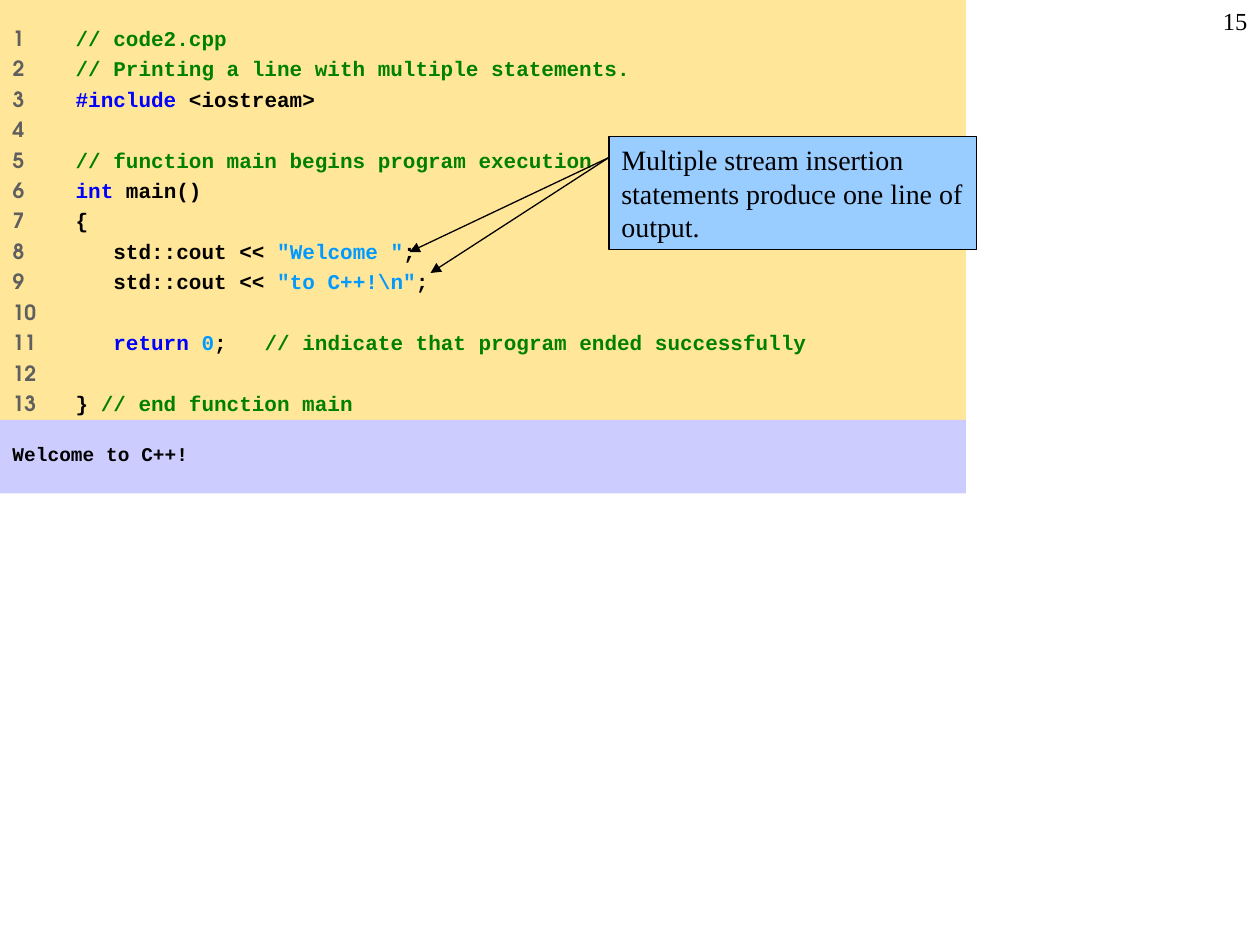
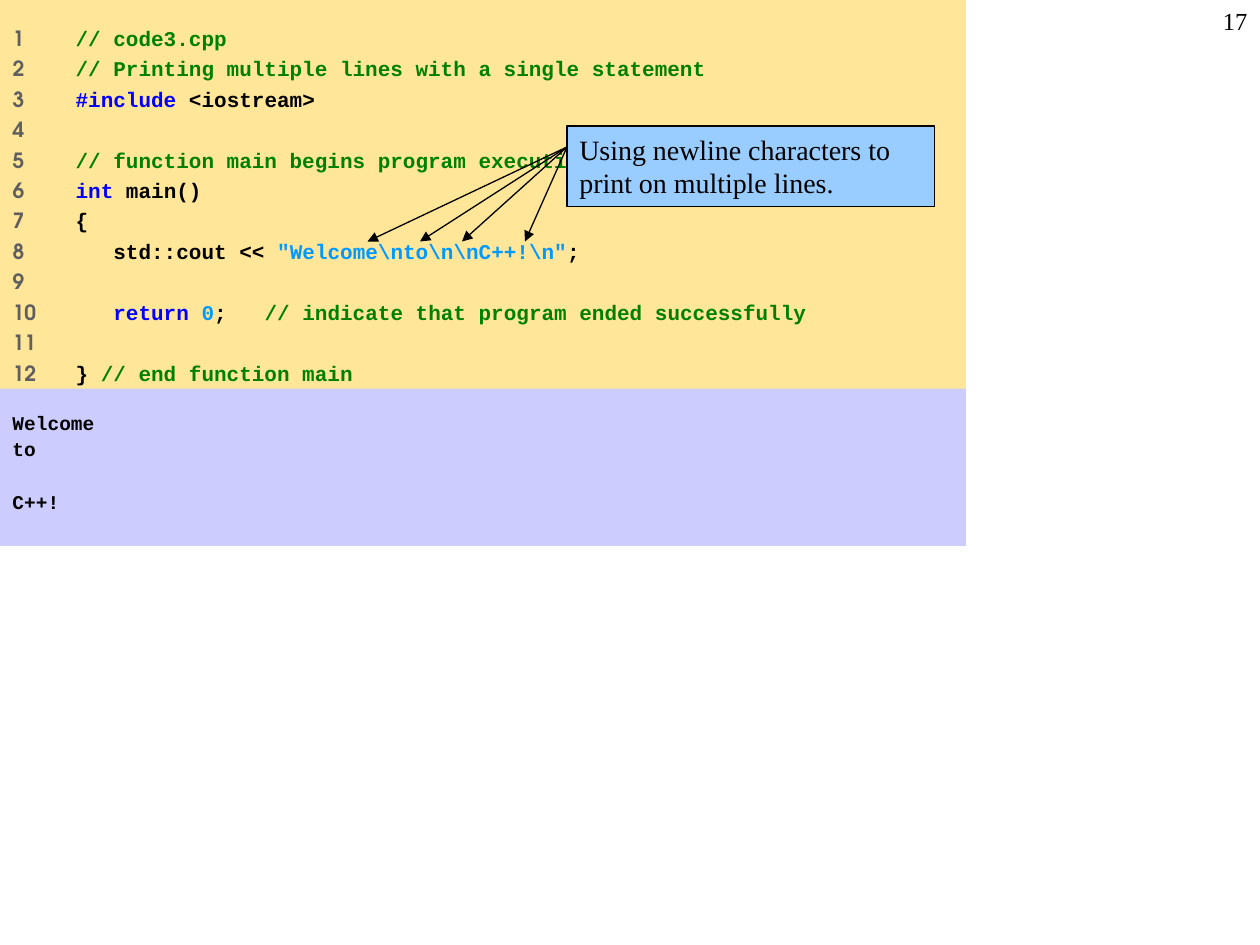
from dataclasses import dataclass
from typing import NamedTuple

from lxml import etree
from pptx import Presentation
from pptx.dml.color import RGBColor
from pptx.enum.shapes import MSO_CONNECTOR, MSO_SHAPE
from pptx.enum.text import MSO_ANCHOR, MSO_AUTO_SIZE, PP_ALIGN
from pptx.oxml.ns import qn
from pptx.util import Emu, Inches, Pt

RECTANGLE = MSO_SHAPE.RECTANGLE
STRAIGHT = MSO_CONNECTOR.STRAIGHT
TOP = MSO_ANCHOR.TOP
LEFT, RIGHT = PP_ALIGN.LEFT, PP_ALIGN.RIGHT
FIXED_SIZE, GROW = MSO_AUTO_SIZE.NONE, MSO_AUTO_SIZE.SHAPE_TO_FIT_TEXT

# Square grid: 120 columns by 90 rows
COLUMNS, ROWS = 120, 90
CELL = Inches(10) // COLUMNS
PANEL_COLUMNS = 92
CALLOUT_COLUMNS = 35
ARROW_DROP = 2  # rows from the callout's top to the arrows' start


class TextStyle(NamedTuple):
    font: str
    size: float
    color: str
    bold: bool = False


@dataclass(frozen=True)
class Theme:
    code_fill: str = "FFE699"
    output_fill: str = "CCCCFF"
    callout_fill: str = "99CCFF"
    line: str = "000000"
    line_width: float = 0.75
    paragraph_gap: float = 3
    output_spacing: float = 0.9
    code_tab: float = 0.37
    side_inset: float = 0.1
    panel_inset: float = 0.2
    text_inset: float = 0.05
    number: TextStyle = TextStyle("TeX Gyre Adventor", 12, "5F5F5F", True)
    plain: TextStyle = TextStyle("Courier New", 12, "000000", True)
    comment: TextStyle = TextStyle("Courier New", 12, "008000", True)
    keyword: TextStyle = TextStyle("Courier New", 12, "0000FF", True)
    literal: TextStyle = TextStyle("Courier New", 12, "0099FF", True)
    output: TextStyle = TextStyle("Courier New", 11.1, "000000", True)
    callout: TextStyle = TextStyle("Times New Roman", 16, "000000")
    page: TextStyle = TextStyle("Times New Roman", 14, "000000")


THEME = Theme()


class Token(NamedTuple):
    text: str
    style: TextStyle = THEME.plain


class Box(NamedTuple):
    column: float
    row: float
    columns: float
    rows: float


class OutputLine(NamedTuple):
    text: str
    gap: float = THEME.paragraph_gap


class Callout(NamedTuple):
    text: str
    box: Box
    targets: list[tuple[int, int]]


@dataclass(frozen=True)
class CodeSlide:
    page: str
    code: list[list[Token]]
    code_rows: int
    output: list[OutputLine]
    output_row: int
    output_rows: int
    callout: Callout


# Source code of the two programs
def comment(text: str) -> Token:
    return Token(text, THEME.comment)


def keyword(text: str) -> Token:
    return Token(text, THEME.keyword)


def literal(text: str) -> Token:
    return Token(text, THEME.literal)


def print_statement(text: str) -> list[Token]:
    return [Token("   std::cout << "), literal(text), Token(";")]


def program(file_name: str, purpose: str, printed: list[str]) -> list[list[Token]]:
    return [
        [comment(f"// {file_name}")],
        [comment(f"// {purpose}")],
        [keyword("#include"), Token(" <iostream>")],
        [],
        [comment("// function main begins program execution")],
        [keyword("int"), Token(" main()")],
        [Token("{")],
        *[print_statement(text) for text in printed],
        [],
        [keyword("   return "), literal("0"), Token(";   "),
         comment("// indicate that program ended successfully")],
        [],
        [Token("}"), comment(" // end function main")],
    ]


CODE_SLIDES = [
    CodeSlide(
        page="15",
        code=program("code2.cpp", "Printing a line with multiple statements.",
                     [r'"Welcome "', r'"to C++!\n"']),
        code_rows=41,
        output=[OutputLine("Welcome to C++!")],
        output_row=40,
        output_rows=7,
        callout=Callout(
            "Multiple stream insertion statements produce one line of output.",
            Box(58, 13, CALLOUT_COLUMNS, 10.8), [(39, 24), (41, 26)]),
    ),
    CodeSlide(
        page="17",
        code=program("code3.cpp", "Printing multiple lines with a single statement",
                     [r'"Welcome\nto\n\nC++!\n"']),
        code_rows=38,
        output=[OutputLine("Welcome"), OutputLine("to"), OutputLine("C++!", 18)],
        output_row=37,
        output_rows=15,
        callout=Callout(
            "Using newline characters to print on multiple lines.",
            Box(54, 12, CALLOUT_COLUMNS, 7.7),
            [(column, 23) for column in (35, 40, 44, 50)]),
    ),
]


# Drawing helpers
def cells(count: float) -> Emu:
    return Emu(round(count * CELL))


def place(shape, box: Box) -> None:
    shape.left, shape.top, shape.width, shape.height = map(cells, box)


def fill(shape, color: str) -> None:
    shape.fill.solid()
    shape.fill.fore_color.rgb = RGBColor.from_string(color)


def outline(line) -> None:
    line.color.rgb = RGBColor.from_string(THEME.line)
    line.width = Pt(THEME.line_width)


def prepare_frame(shape, vertical_inset: float, auto_size=FIXED_SIZE):
    frame = shape.text_frame
    frame.word_wrap = True
    frame.auto_size = auto_size
    frame.vertical_anchor = TOP
    frame.margin_left = frame.margin_right = Inches(THEME.side_inset)
    frame.margin_top = frame.margin_bottom = Inches(vertical_inset)
    return frame


def add_paragraph(frame, index: int, gap: float = 0, alignment=LEFT):
    paragraph = frame.add_paragraph() if index else frame.paragraphs[0]
    paragraph.alignment = alignment
    paragraph.space_before = Pt(gap if index else 0)
    return paragraph


def add_run(paragraph, text: str, style: TextStyle) -> None:
    run = paragraph.add_run()
    run.text = text
    run.font.name = style.font
    run.font.size = Pt(style.size)
    run.font.bold = style.bold
    run.font.color.rgb = RGBColor.from_string(style.color)


def add_tab_stop(paragraph, position: float) -> None:
    properties = paragraph._p.get_or_add_pPr()
    tabs = etree.SubElement(properties, qn("a:tabLst"))
    etree.SubElement(tabs, qn("a:tab"), pos=str(Inches(position)), algn="l")


def add_rectangle(shapes, box: Box, color: str):
    shape = shapes.add_shape(RECTANGLE, *map(cells, box))
    shape.shadow.inherit = False
    fill(shape, color)
    return shape


# Slide parts
def add_page_number(slide, page: str) -> None:
    shape = slide.shapes.add_textbox(*map(cells, Box(COLUMNS - 6, 0, 6, 6)))
    frame = prepare_frame(shape, THEME.text_inset)
    add_run(add_paragraph(frame, 0, alignment=RIGHT), page, THEME.page)


def fill_code_panel(slide, content: CodeSlide) -> None:
    panel = slide.placeholders[1]
    place(panel, Box(0, 0, PANEL_COLUMNS, content.code_rows))
    fill(panel, THEME.code_fill)
    frame = prepare_frame(panel, THEME.panel_inset)
    for index, tokens in enumerate(content.code):
        paragraph = add_paragraph(frame, index, THEME.paragraph_gap)
        add_tab_stop(paragraph, THEME.code_tab)
        number = f"{index + 1}\t" if tokens else f"{index + 1}"
        add_run(paragraph, number, THEME.number)
        for token in tokens:
            add_run(paragraph, token.text, token.style)


def add_output_panel(slide, content: CodeSlide) -> None:
    box = Box(0, content.output_row, PANEL_COLUMNS, content.output_rows)
    panel = add_rectangle(slide.shapes, box, THEME.output_fill)
    panel.line.fill.background()
    frame = prepare_frame(panel, THEME.panel_inset)
    for index, line in enumerate(content.output):
        paragraph = add_paragraph(frame, index, line.gap)
        paragraph.line_spacing = THEME.output_spacing
        add_run(paragraph, line.text, THEME.output)


def add_arrow(shapes, start: tuple[float, float], end: tuple[float, float]) -> None:
    arrow = shapes.add_connector(STRAIGHT, *map(cells, (*start, *end)))
    outline(arrow.line)
    properties = arrow._element.spPr
    etree.SubElement(properties.find(qn("a:ln")), qn("a:tailEnd"), type="triangle")
    etree.SubElement(properties, qn("a:effectLst"))


def add_callout(slide, callout: Callout) -> None:
    group = slide.shapes.add_group_shape()
    note = add_rectangle(group.shapes, callout.box, THEME.callout_fill)
    outline(note.line)
    frame = prepare_frame(note, THEME.text_inset, GROW)
    add_run(add_paragraph(frame, 0), callout.text, THEME.callout)
    start = (callout.box.column, callout.box.row + ARROW_DROP)
    for target in callout.targets:
        add_arrow(group.shapes, start, target)


def add_code_slide(presentation, content: CodeSlide) -> None:
    slide = presentation.slides.add_slide(presentation.slide_layouts[0])
    title = slide.shapes.title._element
    title.getparent().remove(title)
    add_page_number(slide, content.page)
    fill_code_panel(slide, content)
    add_output_panel(slide, content)
    add_callout(slide, content.callout)


def main() -> None:
    presentation = Presentation()
    presentation.slide_width = cells(COLUMNS)
    presentation.slide_height = cells(ROWS)
    for content in CODE_SLIDES:
        add_code_slide(presentation, content)
    presentation.save("out.pptx")


if __name__ == "__main__":
    main()
